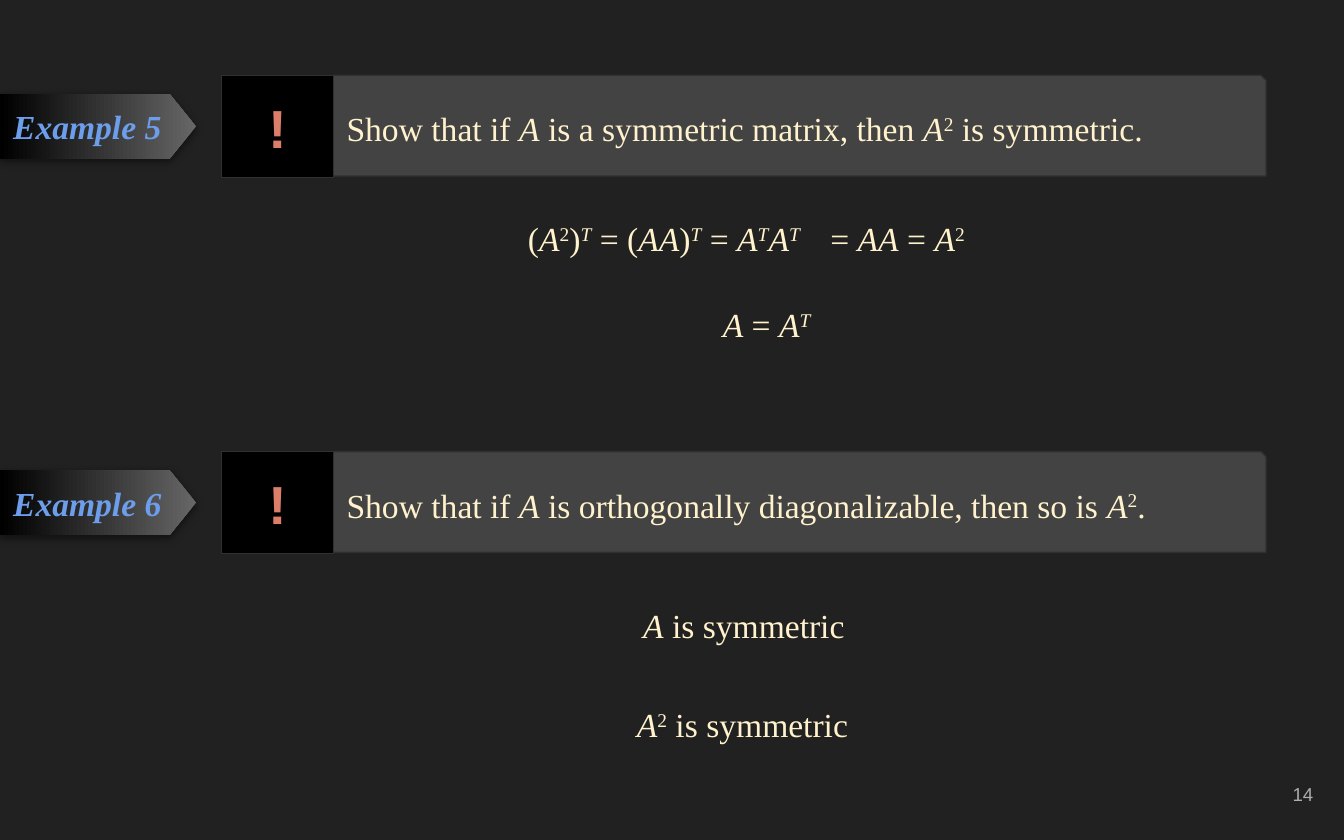
import pptx
import pptx.util
import pptx.dml.color
import pptx.enum.shapes
import pptx.enum.text
import pptx.oxml
import pptx.oxml.ns

Inches = pptx.util.Inches
Pt = pptx.util.Pt
SHAPES = pptx.enum.shapes.MSO_SHAPE
ALIGN = pptx.enum.text.PP_ALIGN
ANCHOR = pptx.enum.text.MSO_ANCHOR

COLORS = {
    "page": "212121",
    "panel": "434343",
    "edge": "303030",
    "black": "000000",
    "tag_end": "666666",
    "tag_text": "6D9EEB",
    "body": "FFF2CC",
    "alert": "DD7E6B",
    "number": "ADADAD",
}
SERIF = "Times New Roman"
SHADOW = (
    '<a:outerShdw %s blurRad="57150" dist="19050" dir="5400000" algn="bl" rotWithShape="0">'
    '<a:srgbClr val="%s"><a:alpha val="50000"/></a:srgbClr></a:outerShdw>'
)

A = ("A", "i")
AA = ("AA", "i")
SQUARED = ("2", "s")
TRANSPOSED = ("T", "is")
EQUALS = (" = ", "")

EXAMPLES = [
    (0.56, "Example 5", [("Show that if ", ""), A, (" is a symmetric matrix, then ", ""),
                         A, SQUARED, (" is symmetric.", "")]),
    (3.36, "Example 6", [("Show that if ", ""), A,
                         (" is orthogonally diagonalizable, then so is ", ""),
                         A, SQUARED, (".", "")]),
]
STEPS = [
    ((3.83, 1.48, 2.55, 0.69), ALIGN.LEFT,
     [("(", ""), A, SQUARED, (")", ""), TRANSPOSED, (" = (", ""), AA, (")", ""), TRANSPOSED,
      EQUALS, A, TRANSPOSED, A, TRANSPOSED]),
    ((6.08, 1.48, 2, 0.69), ALIGN.LEFT, [("= ", ""), AA, EQUALS, A, SQUARED]),
    ((5.28, 2.12, 1.1, 0.66), ALIGN.LEFT, [A, EQUALS, A, TRANSPOSED]),
    ((4.47, 4.36, 2.13, 0.76), ALIGN.CENTER, [A, (" is symmetric", "")]),
    ((4.31, 5.09, 2.43, 0.75), ALIGN.CENTER, [A, SQUARED, (" is symmetric", "")]),
]


def rgb(name):
    """Return the named colour."""
    return pptx.dml.color.RGBColor.from_string(COLORS[name])


def write(shape, spans, size=18, font=SERIF, color="body", align=ALIGN.LEFT,
          anchor=ANCHOR.MIDDLE, spacing=None):
    """Fill a shape with one paragraph; style letters are b, i and s for superscript."""
    frame = shape.text_frame
    frame.word_wrap = True
    frame.vertical_anchor = anchor
    frame.margin_left = frame.margin_right = Inches(0.1)
    frame.margin_top = frame.margin_bottom = Inches(0.1)
    para = frame.paragraphs[0]
    para.alignment = align
    para.line_spacing = spacing
    for text, style in spans:
        span = para.add_run()
        span.text = text
        span.font.size = Pt(size)
        span.font.name = font
        span.font.color.rgb = rgb(color)
        span.font.bold = "b" in style
        span.font.italic = "i" in style
        if "s" in style:
            span._r.get_or_add_rPr().set("baseline", "30000")


def add_text(page, box, spans, **options):
    """Add a text box at the given box in inches."""
    write(page.shapes.add_textbox(*map(Inches, box)), spans, **options)


def add_panel(page, kind, box, fill):
    """Add a filled shape with a thin edge."""
    shape = page.shapes.add_shape(kind, *map(Inches, box))
    shape.shadow.inherit = False
    shape.fill.solid()
    shape.fill.fore_color.rgb = rgb(fill)
    shape.line.color.rgb = rgb("edge")
    shape.line.width = Pt(0.75)
    return shape


def add_tag(page, box, label):
    """Add the gradient arrow tag that names an example."""
    tag = page.shapes.add_shape(SHAPES.PENTAGON, *map(Inches, box))
    tag.adjustments[0] = 0.41
    tag.fill.gradient()
    tag.fill.gradient_angle = 180
    for stop, position, color in zip(tag.fill.gradient_stops, (0, 1), ("tag_end", "black")):
        stop.position = position
        stop.color.rgb = rgb(color)
    tag.line.fill.background()
    tag.shadow.inherit = False
    effects = tag._element.spPr.find(pptx.oxml.ns.qn("a:effectLst"))
    effects.append(pptx.oxml.parse_xml(SHADOW % (pptx.oxml.ns.nsdecls("a"), COLORS["black"])))
    write(tag, [(label, "bi")], color="tag_text")


def add_example(page, top, label, statement):
    """Add the tag, alert square and statement panel of one example."""
    add_tag(page, (0, top + 0.14, 1.46, 0.48), label)
    panel = add_panel(page, SHAPES.SNIP_1_RECTANGLE, (2.48, top, 6.94, 0.75), "panel")
    panel.adjustments[0] = 0.05
    add_text(page, (2.48, top + 0.1, 6.81, 0.6), statement, anchor=ANCHOR.TOP, spacing=1.15)
    alert = add_panel(page, SHAPES.RECTANGLE, (1.65, top, 0.83, 0.76), "black")
    write(alert, [("!", "b")], size=30, font="Courier New", color="alert", align=ALIGN.CENTER)


def main():
    """Build and save the slide."""
    deck = pptx.Presentation()
    deck.slide_width, deck.slide_height = Inches(10), Inches(6.25)
    page = deck.slides.add_slide(deck.slide_layouts[6])
    page.background.fill.solid()
    page.background.fill.fore_color.rgb = rgb("page")
    for top, label, statement in EXAMPLES:
        add_example(page, top, label, statement)
    for box, align, spans in STEPS:
        add_text(page, box, spans, align=align, anchor=ANCHOR.TOP, spacing=1.15)
    add_text(page, (9.27, 5.67, 0.6, 0.48), [("14", "")], size=10, font="Arial",
             color="number", align=ALIGN.RIGHT)
    deck.save("out.pptx")


if __name__ == "__main__":
    main()
